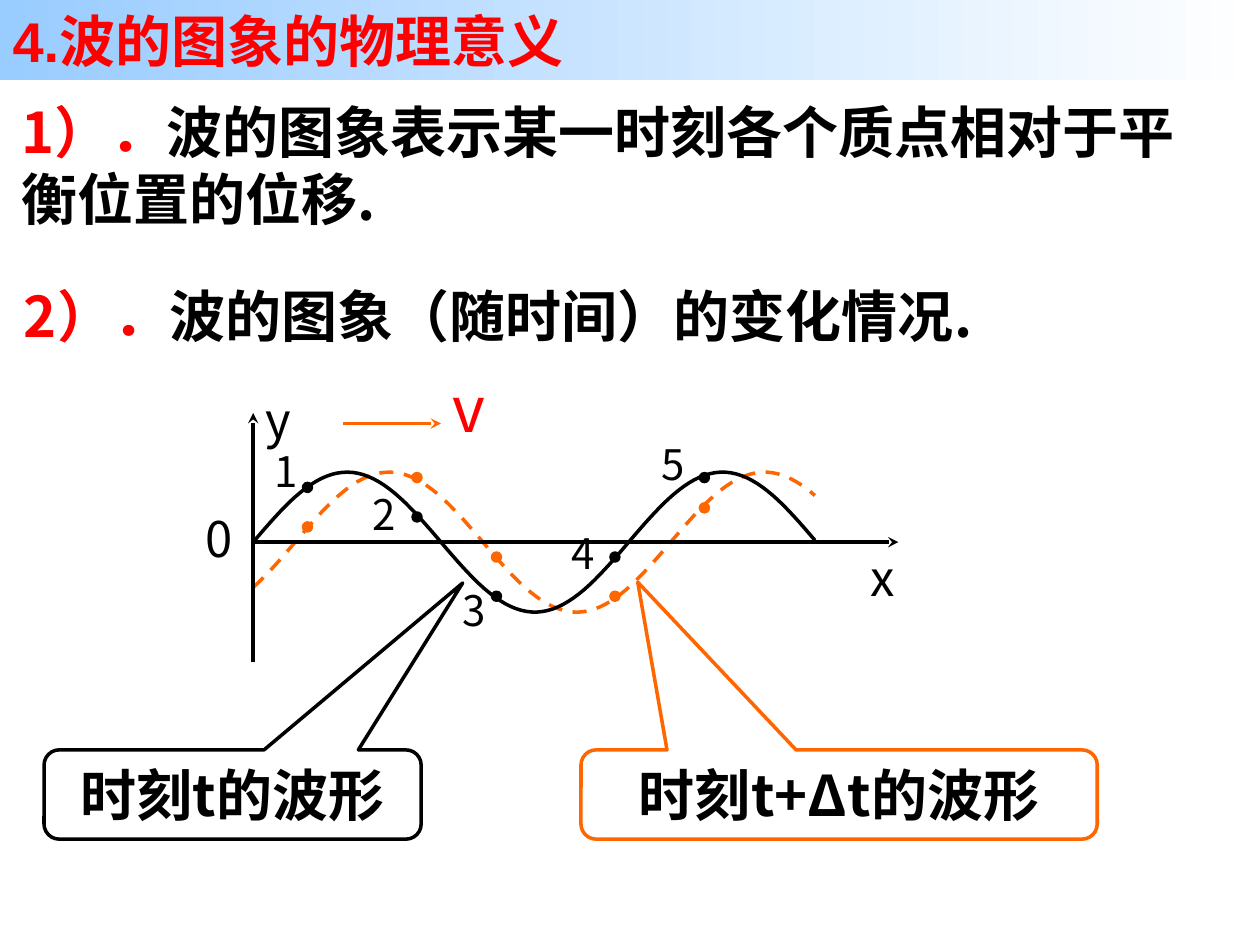
from dataclasses import dataclass
from math import pi, sin

from lxml.etree import SubElement
from pptx import Presentation
from pptx.dml.color import RGBColor
from pptx.enum.dml import MSO_LINE
from pptx.enum.shapes import MSO_CONNECTOR, MSO_SHAPE
from pptx.enum.text import MSO_ANCHOR, MSO_AUTO_SIZE, PP_ALIGN
from pptx.oxml.ns import qn
from pptx.util import Pt


@dataclass(frozen=True)
class Theme:
    ink: RGBColor = RGBColor(0x00, 0x00, 0x00)
    red: RGBColor = RGBColor(0xFF, 0x00, 0x00)
    orange: RGBColor = RGBColor(0xFF, 0x66, 0x00)
    sky: RGBColor = RGBColor(0x99, 0xCC, 0xFF)
    white: RGBColor = RGBColor(0xFF, 0xFF, 0xFF)
    title_font: str = "Arial"
    font: str = "Noto Sans CJK SC"
    heading: int = 32
    velocity: int = 36
    axis: int = 28
    number: int = 24
    stroke: float = 2
    dot_stroke: float = 0.75


class WavePage:
    """Holds the theme and the current slide; all lengths are points."""

    def __init__(self, page, theme):
        self.page = page
        self.theme = theme

    def place(self, shape, left, top, width, height):
        shape.left, shape.top = Pt(left), Pt(top)
        shape.width, shape.height = Pt(width), Pt(height)

    def set_text(self, shape, spans, size, bold=False, font=None,
                 align=PP_ALIGN.LEFT, wrap=True, grow=False):
        """Fill the shape's only paragraph with (text, colour) spans."""
        frame = shape.text_frame
        frame.word_wrap = wrap
        frame.auto_size = MSO_AUTO_SIZE.SHAPE_TO_FIT_TEXT if grow else MSO_AUTO_SIZE.NONE
        frame.vertical_anchor = MSO_ANCHOR.TOP
        para = frame.paragraphs[0]
        para.alignment = align
        for text, color in spans:
            span = para.add_run()
            span.text = text
            span.font.size = Pt(size)
            span.font.bold = bold
            span.font.color.rgb = color
            span.font.name = font or self.theme.font
            SubElement(span.font._element, qn("a:ea"), typeface=self.theme.font)
        return para

    def outline(self, shape, color, width):
        shape.line.color.rgb = color
        shape.line.width = Pt(width)

    def title(self, text):
        box = self.page.shapes.title
        self.place(box, 0, 0, 720, 46)
        box.fill.gradient()
        box.fill.gradient_angle = 0
        for stop, color in zip(box.fill.gradient_stops, (self.theme.sky, self.theme.white)):
            stop.color.rgb = color
        self.set_text(box, [(text, self.theme.red)], self.theme.heading, True,
                      self.theme.title_font)

    def statement(self, index, number, text, left, top, width):
        box = self.page.placeholders[index]
        self.place(box, left, top, width, 84)
        spans = [(number, self.theme.red), (text, self.theme.ink)]
        para = self.set_text(box, spans, self.theme.heading, True)
        para.space_before = Pt(8)
        properties = para._p.get_or_add_pPr()
        properties.set("marL", "0")
        properties.set("indent", "0")
        SubElement(properties, qn("a:buNone"))

    def wave(self, left, middle, length, amplitude, wavelength, shift, color, dashed=False):
        """Draw a sine curve moved right by shift."""
        step = 3
        points = [(Pt(left + x), Pt(middle - amplitude * sin(2 * pi * (x - shift) / wavelength)))
                  for x in range(0, length + 1, step)]
        builder = self.page.shapes.build_freeform(*points[0])
        builder.add_line_segments(points[1:], close=False)
        curve = builder.convert_to_shape()
        curve.shadow.inherit = False
        curve.fill.background()
        self.outline(curve, color, self.theme.stroke)
        if dashed:
            curve.line.dash_style = MSO_LINE.DASH

    def arrow(self, start, end, color):
        line = self.page.shapes.add_connector(
            MSO_CONNECTOR.STRAIGHT, *(Pt(value) for value in start + end))
        self.outline(line, color, self.theme.stroke)
        SubElement(line.line._get_or_add_ln(), qn("a:tailEnd"), type="stealth")
        SubElement(line._element.spPr, qn("a:effectLst"))

    def label(self, text, left, top, size, color):
        box = self.page.shapes.add_textbox(Pt(left), Pt(top), Pt(size / 2 + 15), Pt(size + 13))
        self.set_text(box, [(text, color)], size, wrap=False, grow=True)

    def shape(self, kind, left, top, width, height, color, stroke):
        shape = self.page.shapes.add_shape(kind, Pt(left), Pt(top), Pt(width), Pt(height))
        shape.shadow.inherit = False
        self.outline(shape, color, stroke)
        return shape

    def dot(self, left, top, color):
        dot = self.shape(MSO_SHAPE.OVAL, left, top, 5.8, 5.8, color, self.theme.dot_stroke)
        dot.fill.solid()
        dot.fill.fore_color.rgb = color

    def callout(self, text, left, width, tip, color):
        box = self.shape(MSO_SHAPE.ROUNDED_RECTANGULAR_CALLOUT, left, 428.5, width, 51,
                         color, self.theme.stroke)
        box.fill.background()
        for index, value in enumerate((*tip, 0.17)):
            box.adjustments[index] = value
        self.set_text(box, [(text, self.theme.ink)], self.theme.heading, True,
                      align=PP_ALIGN.CENTER)


def main():
    deck = Presentation()
    deck.slide_width, deck.slide_height = Pt(720), Pt(540)
    theme = Theme()
    two_content = deck.slide_layouts[3]
    page = WavePage(deck.slides.add_slide(two_content), theme)

    page.title("4.波的图象的物理意义")
    page.statement(1, "1）．", "波的图象表示某一时刻各个质点相对于平衡位置的位移.", 5, 52, 695.5)
    page.statement(2, "2）．", "波的图象（随时间）的变化情况.", 6.5, 157, 565)

    origin_x, origin_y = 144.7, 309.8
    for shift, color, dashed in ((24, theme.orange, True), (0, theme.ink, False)):
        page.wave(origin_x, origin_y, 323, 40, 214.6, shift, color, dashed)
    page.arrow((origin_x, origin_y), (513.4, origin_y), theme.ink)
    page.arrow((origin_x, 378), (origin_x, 236), theme.ink)
    page.arrow((196, 242), (252, 242), theme.orange)

    for text, left, top in (("y", 144.7, 219), ("x", 490.3, 309.6), ("0", 110.2, 287.3)):
        page.label(text, left, top, theme.axis, theme.ink)
    page.label("v", 251.3, 207.4, theme.velocity, theme.red)
    number_spots = ((149.8, 251.3), (206, 275.8), (257, 330.5), (319.7, 298), (370.8, 247))
    for number, (left, top) in enumerate(number_spots, 1):
        page.label(str(number), left, top, theme.number, theme.ink)

    # Each particle keeps its x; its height differs between the two moments.
    particles = ((172.8, 275.6, 298.2), (235.4, 292.5, 270), (280.8, 337.8, 315.4),
                 (348.5, 315.4, 337.8), (399.6, 270, 287.3))
    for left, top_now, top_later in particles:
        page.dot(left, top_now, theme.ink)
        page.dot(left, top_later, theme.orange)

    page.callout("时刻t的波形", 25.2, 215.5, (0.61, -2.37), theme.ink)
    page.callout("时刻t+Δt的波形", 332, 295, (-0.39, -2.38), theme.orange)
    deck.save("out.pptx")


if __name__ == "__main__":
    main()
